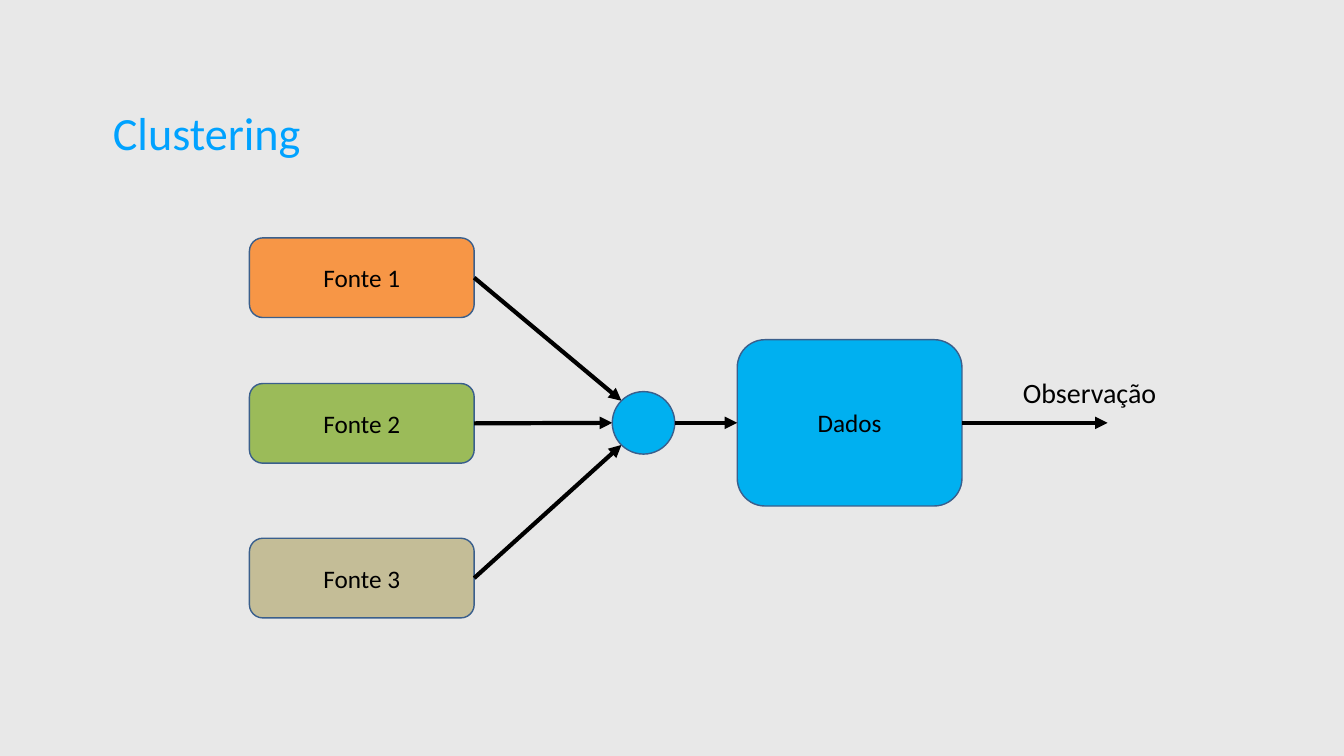
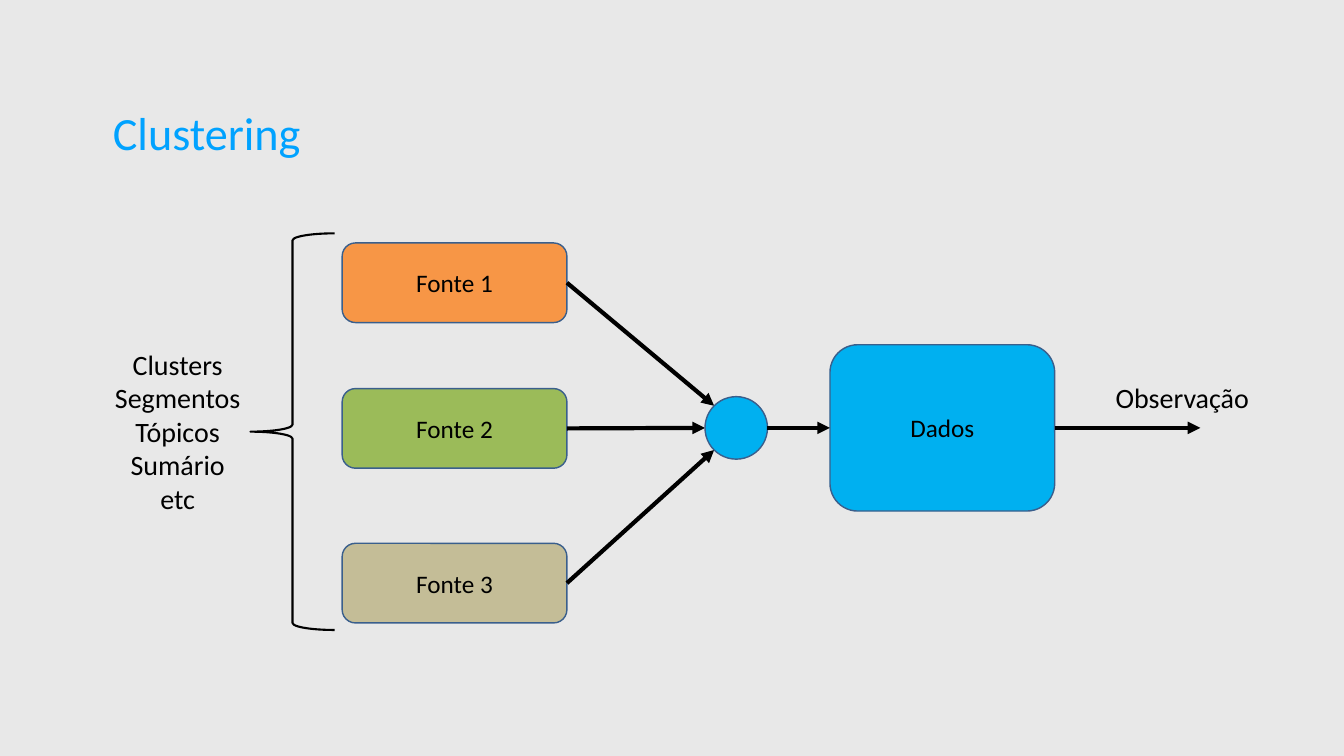
from math import sqrt

from lxml import etree
from pptx import Presentation
from pptx.dml.color import RGBColor
from pptx.enum.shapes import MSO_CONNECTOR, MSO_SHAPE
from pptx.enum.text import MSO_ANCHOR, MSO_AUTO_SIZE, PP_ALIGN
from pptx.oxml.ns import qn
from pptx.util import Inches, Pt

ROUND, OVAL, BRACE = MSO_SHAPE.ROUNDED_RECTANGLE, MSO_SHAPE.OVAL, MSO_SHAPE.LEFT_BRACE
STRAIGHT = MSO_CONNECTOR.STRAIGHT
LEFT, CENTER = PP_ALIGN.LEFT, PP_ALIGN.CENTER
MIDDLE, GROW = MSO_ANCHOR.MIDDLE, MSO_AUTO_SIZE.SHAPE_TO_FIT_TEXT

FONT = "Calibri"
GRAY = RGBColor(0xE8, 0xE8, 0xE8)
TITLE_BLUE = RGBColor(0x00, 0xA2, 0xFF)
BLUE = RGBColor(0x00, 0xB0, 0xF0)
ORANGE = RGBColor(0xF7, 0x96, 0x46)
GREEN = RGBColor(0x9B, 0xBB, 0x59)
TAN = RGBColor(0xC4, 0xBD, 0x97)
OUTLINE = RGBColor(0x3A, 0x5F, 0x8C)
BLACK = RGBColor(0, 0, 0)

# Content
TITLE = "Clustering"
SOURCES = [("Fonte 1", ORANGE, 4.72), ("Fonte 2", GREEN, 7.61), ("Fonte 3", TAN, 10.68)]
DATA = "Dados"
OUTPUT = "Observação"
GROUP_NAMES = ["Clusters", "Segmentos", "Tópicos", "Sumário", "etc"]

# Diagram measures in inches, before any shift
SOURCE_X, BOX_W, SOURCE_H = 4.95, 4.46, 1.58
DATA_X, DATA_Y, DATA_H = 14.63, 6.74, 3.3
HUB_X, HUB_R = 12.15, 0.62
OUTPUT_LENGTH = 2.89


def write(tf, lines, size, color, align):
    tf.text = "\n".join(lines)
    for p in tf.paragraphs:
        p.alignment = align
        p.font.size = Pt(size)
        p.font.name = FONT
        p.font.color.rgb = color


def add_text(slide, box, lines, size=40, color=BLACK, align=LEFT):
    tf = slide.shapes.add_textbox(*map(Inches, box)).text_frame
    tf.word_wrap = True
    write(tf, lines, size, color, align)
    return tf


def add_shape(slide, kind, box, fill=None, line=OUTLINE, width=2, label=None):
    sp = slide.shapes.add_shape(kind, *map(Inches, box))
    sp.shadow.inherit = False
    if fill is None:
        sp.fill.background()
    else:
        sp.fill.solid()
        sp.fill.fore_color.rgb = fill
    sp.line.color.rgb = line
    sp.line.width = Pt(width)
    if label:
        sp.text_frame.vertical_anchor = MIDDLE
        write(sp.text_frame, [label], 36, BLACK, CENTER)


def add_arrow(slide, start, end):
    cxn = slide.shapes.add_connector(STRAIGHT, *map(Inches, start + end))
    cxn.line.color.rgb = BLACK
    cxn.line.width = Pt(6)
    etree.SubElement(cxn.line._get_or_add_ln(), qn("a:tailEnd"), type="triangle")
    etree.SubElement(cxn._element.spPr, qn("a:effectLst"))


def add_slide(prs):
    slide = prs.slides.add_slide(prs.slide_layouts[6])
    tf = add_text(slide, (2.18, 2.01, 15.61, 1.21), [TITLE], 66, TITLE_BLUE)
    tf.vertical_anchor = MIDDLE
    tf.margin_left = tf.margin_right = tf.margin_top = tf.margin_bottom = Inches(0.06)
    return slide


def add_diagram(slide, dx=0, dy=0):
    source_x, data_x, hub_x = SOURCE_X + dx, DATA_X + dx, HUB_X + dx
    data_y = DATA_Y + dy
    mid_y = data_y + DATA_H / 2
    add_shape(slide, ROUND, (data_x, data_y, BOX_W, DATA_H), BLUE, label=DATA)

    # Sources, each with an arrow to the left side of the hub
    diagonal = HUB_R / sqrt(2)
    for i, (name, color, top) in enumerate(SOURCES):
        y = top + dy
        add_shape(slide, ROUND, (source_x, y, BOX_W, SOURCE_H), color, label=name)
        side = i - 1
        reach = diagonal if side else HUB_R
        end = (hub_x + HUB_R - reach, mid_y + side * diagonal)
        add_arrow(slide, (source_x + BOX_W, y + SOURCE_H / 2), end)

    # Hub, data and output
    add_shape(slide, OVAL, (hub_x, mid_y - HUB_R, 2 * HUB_R, 2 * HUB_R), BLUE)
    add_arrow(slide, (hub_x + 2 * HUB_R, mid_y), (data_x, mid_y))
    out_x = data_x + BOX_W
    add_arrow(slide, (out_x, mid_y), (out_x + OUTPUT_LENGTH, mid_y))
    tf = add_text(slide, (out_x + 1.11, mid_y - 0.99, 3.57, 0.77), [OUTPUT])
    tf.auto_size = GROW


def main():
    prs = Presentation()
    prs.slide_width, prs.slide_height = Inches(26.67), Inches(15)
    bg = prs.slide_master.background.fill
    bg.solid()
    bg.fore_color.rgb = GRAY

    # Slide 1: sources and data
    add_diagram(add_slide(prs))

    # Slide 2: the same diagram with its sources grouped
    slide = add_slide(prs)
    add_diagram(slide, dx=1.84, dy=0.1)
    add_shape(slide, BRACE, (4.97, 4.63, 1.67, 7.87), line=BLACK, width=3)
    tf = add_text(slide, (0.56, 6.84, 5.93, 3.47), GROUP_NAMES, align=CENTER)
    tf.auto_size = GROW

    prs.save("out.pptx")


if __name__ == "__main__":
    main()
